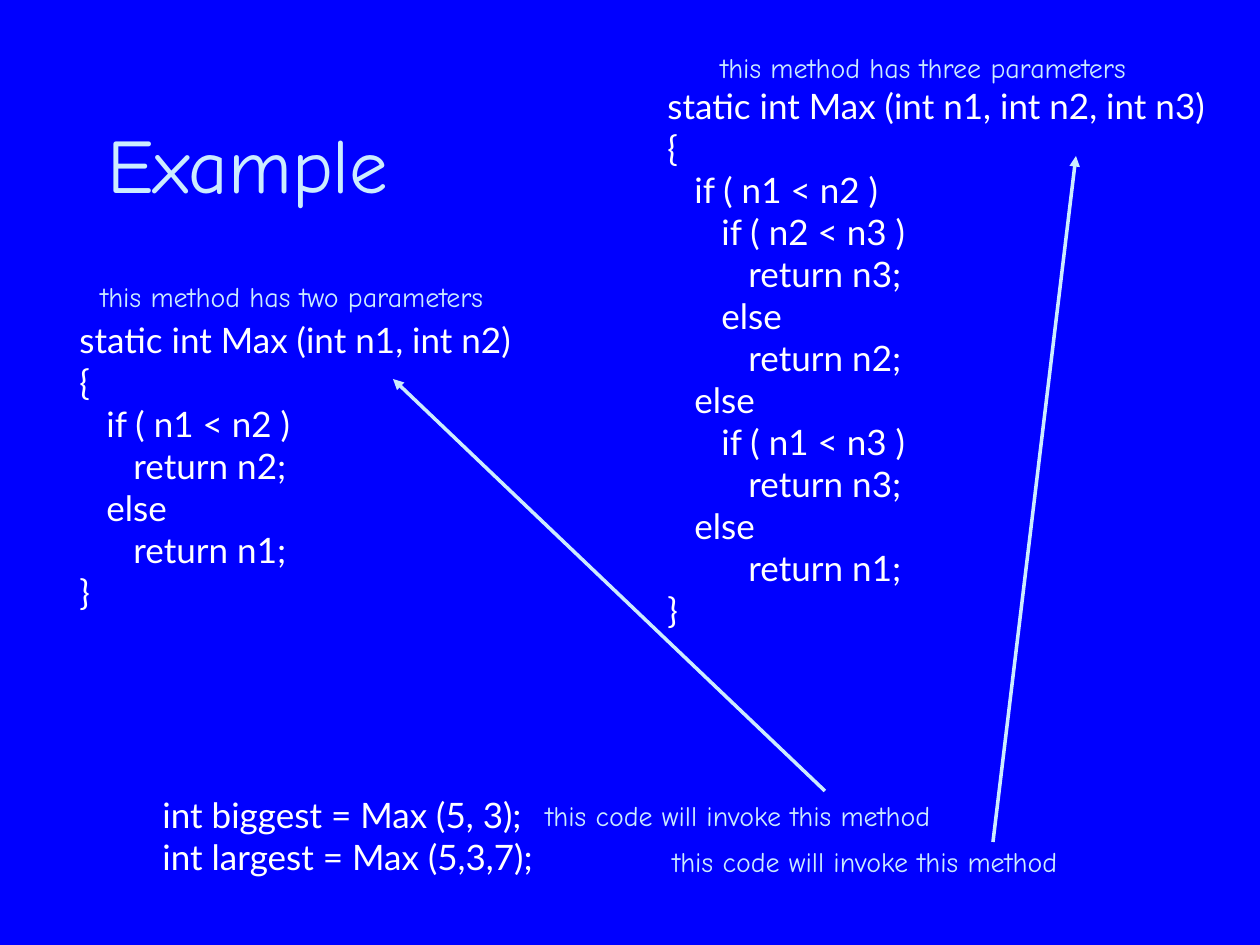
"""Build the slide that matches calls of Max to its two- and three-parameter methods."""
from lxml import etree
from pptx import Presentation
from pptx import util as u
from pptx.dml.color import RGBColor
from pptx.enum import shapes, text
from pptx.oxml.ns import qn

PX = 914400 / 126
THEME = {
    "background": RGBColor.from_string("0000FF"),
    "pale": RGBColor.from_string("CCECFF"),
    "white": RGBColor.from_string("FFFFFF"),
    "title": u.Pt(44),
    "code": u.Pt(20),
    "note": u.Pt(16),
    "arrow": u.Pt(2),
    "hand": "Comic Neue",
    "sans": "Lato",
}
INDENT = 27


def px(length):
    return u.Emu(round(length * PX))


def write(lines, box, *, size="note", font="hand", color="pale",
          anchor=text.MSO_ANCHOR.TOP):
    frame = slide.shapes.add_textbox(*map(px, box)).text_frame
    frame.word_wrap = False
    frame.vertical_anchor = anchor
    for number, (level, words) in enumerate(lines):
        paragraph = frame.add_paragraph() if number else frame.paragraphs[0]
        if level:
            paragraph._p.get_or_add_pPr().set("marL", str(px(level * INDENT)))
        run = paragraph.add_run()
        run.text = words
        run.font.size = THEME[size]
        run.font.name = THEME[font]
        run.font.color.rgb = THEME[color]


deck = Presentation()
deck.slide_width, deck.slide_height = px(1260), px(945)
slide = deck.slides.add_slide(deck.slide_layouts[6])
slide.background.fill.solid()
slide.background.fill.fore_color.rgb = THEME["background"]

write([(0, "Example")], (95, 84, 527, 158), size="title",
      anchor=text.MSO_ANCHOR.MIDDLE)

two_parameter_method = [
    (0, "static int Max (int n1, int n2)"),
    (0, "{"),
    (1, "if ( n1 < n2 )"),
    (2, "return n2;"),
    (1, "else"),
    (2, "return n1;"),
    (0, "}"),
]
three_parameter_method = [
    (0, "static int Max (int n1, int n2, int n3)"),
    (0, "{"),
    (1, "if ( n1 < n2 )"),
    (2, "if ( n2 < n3 )"),
    (3, "return n3;"),
    (2, "else"),
    (3, "return n2;"),
    (1, "else"),
    (2, "if ( n1 < n3 )"),
    (3, "return n3;"),
    (1, "else"),
    (3, "return n1;"),
    (0, "}"),
]
calls = [(0, "int biggest = Max (5, 3);"), (0, "int largest = Max (5,3,7);")]

for code, box in (
    (two_parameter_method, (67, 312, 475, 310)),
    (three_parameter_method, (655, 78, 586, 564)),
    (calls, (150, 787, 421, 97)),
):
    write(code, box, size="code", font="sans", color="white")

for note, box in (
    ("this method has two parameters", (88, 273, 452, 47)),
    ("this method has three parameters", (708, 44, 479, 47)),
    ("this code will invoke this method", (533, 792, 455, 47)),
    ("this code will invoke this method", (660, 838, 455, 47)),
):
    write([(0, note)], box)

for call_to_method in ((825, 791, 393, 379), (993, 842, 1076, 156)):
    arrow = slide.shapes.add_connector(
        shapes.MSO_CONNECTOR.STRAIGHT, *map(px, call_to_method))
    arrow.line.color.rgb = THEME["pale"]
    arrow.line.width = THEME["arrow"]
    etree.SubElement(arrow.line._get_or_add_ln(), qn("a:tailEnd"), type="triangle")
    etree.SubElement(arrow._element.spPr, qn("a:effectLst"))

deck.save("out.pptx")
